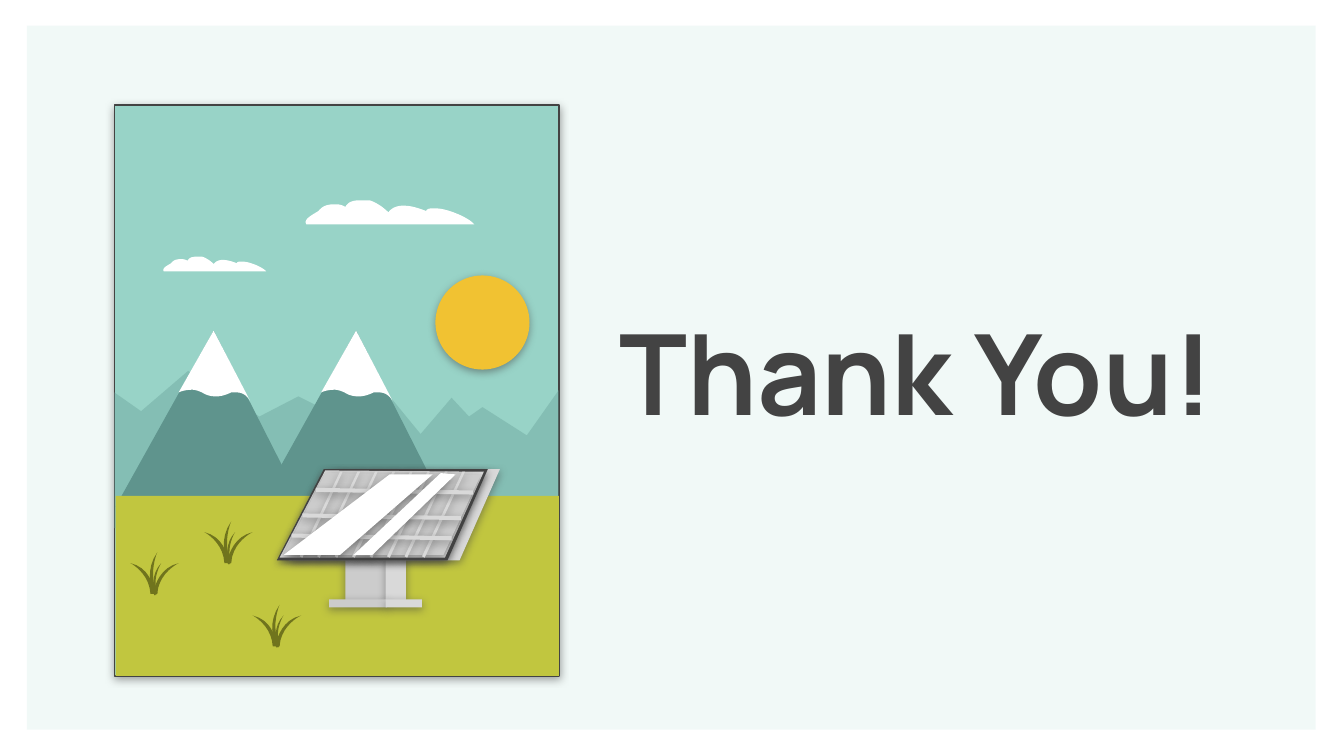
from lxml.etree import SubElement as Sub
from pptx import Presentation
from pptx.dml.color import RGBColor as Rgb
from pptx.enum.shapes import MSO_SHAPE as Kind
from pptx.enum.text import MSO_ANCHOR as Anchor, PP_ALIGN as Align
from pptx.oxml.ns import qn
from pptx.util import Inches, Pt

TITLE = "Thank You!"
INK = {
    "sky": "98D3C7", "text": "434343", "hills": "669E97", "peak": "5F948D",
    "snow": "FFFFFF", "grass": "C1C63F", "steel": "CCCCCC", "light": "D9D9D9",
    "blade": "70741D", "sun": "F1C232",
}

HILLS = [(1.4, 2.76), (1.05, 3.06), (0.85, 2.92), (0.85, 3.93), (4.16, 3.93),
         (4.16, 2.9), (3.92, 3.24), (3.59, 3.03), (3.49, 3.1), (3.36, 2.96),
         (3.13, 3.23), (2.9, 2.95), (2.59, 3.15), (2.5, 3.09), (2.22, 2.95),
         (1.93, 3.1)]
PEAK = [(0.73, 0), (0, 1.31), (1.45, 1.42)]
SNOW = [(0.73, 0), (0.47, 0.46), (0.47, 0.46, 0.51, 0.44, 0.57, 0.44),
        (0.59, 0.44, 0.63, 0.45, 0.66, 0.47), (0.68, 0.48, 0.71, 0.49, 0.75, 0.49),
        (0.78, 0.49, 0.82, 0.48, 0.86, 0.46), (0.87, 0.46, 0.89, 0.46, 0.9, 0.46),
        (0.93, 0.46, 0.97, 0.47, 1, 0.52)]
PEAKS = [(0.86, 2.46), (1.92, 2.46)]
CLOUD = [(0.43, 0), (0.38, 0, 0.34, 0.01, 0.32, 0.05),
         (0.29, 0.03, 0.26, 0.03, 0.24, 0.03), (0.19, 0.03, 0.15, 0.04, 0.12, 0.08),
         (0.09, 0.1, 0, 0.14, 0.03, 0.18), (1.28, 0.18),
         (1.24, 0.13, 1.08, 0.06, 0.99, 0.06), (0.95, 0.06, 0.93, 0.06, 0.92, 0.08),
         (0.87, 0.06, 0.81, 0.04, 0.75, 0.04), (0.7, 0.04, 0.66, 0.06, 0.64, 0.09),
         (0.61, 0.06, 0.56, 0.02, 0.5, 0), (0.48, 0, 0.45, 0, 0.43, 0)]
CLOUDS = [(2.25, 1.49, 1), (1.2, 1.91, 0.61)]
STAND = [(2.57, 3.83, 0.33, 0.64, "steel"), (2.87, 3.83, 0.15, 0.64, "light"),
         (2.45, 4.46, 0.43, 0.06, "steel"), (2.87, 4.46, 0.27, 0.06, "light")]
PANEL = [("light", [(2.5, 3.49), (2.15, 4.17), (3.42, 4.17), (3.72, 3.49)]),
         ("text", [(2.41, 3.49), (2.06, 4.17), (3.33, 4.17), (3.63, 3.49)]),
         ("light", [(2.42, 3.5), (2.08, 4.15), (3.31, 4.15), (3.6, 3.51)]),
         ("steel", [(2.42, 3.52), (2.11, 4.13), (3.3, 4.13), (3.58, 3.53)])]
SLAT = [(0.3, 0), (0, 0.63), (0.02, 0.64), (0.32, 0)]
RAILS = [(2.35, 3.63, 1.17), (2.25, 3.82, 1.18), (2.17, 3.97, 1.19)]
GLARE = [[(2.9, 3.53), (2.11, 4.13), (2.53, 4.13), (3.22, 3.53)],
         [(3.28, 3.52), (2.63, 4.13), (2.77, 4.13), (3.39, 3.53)]]
BLADES = [
    [(0, 0.08), (0, 0.08, 0.14, 0.15, 0.15, 0.31), (0.18, 0.31),
     (0.18, 0.31, 0.17, 0.12, 0, 0.08)],
    [(0.36, 0.08), (0.19, 0.12, 0.17, 0.31, 0.17, 0.31), (0.2, 0.31),
     (0.21, 0.15, 0.36, 0.08, 0.36, 0.08)],
    [(0.23, 0.08), (0.13, 0.19, 0.19, 0.32, 0.19, 0.32), (0.2, 0.3),
     (0.16, 0.19, 0.23, 0.08, 0.23, 0.08)],
    [(0.2, 0), (0.09, 0.16, 0.18, 0.32, 0.18, 0.32), (0.2, 0.3),
     (0.13, 0.16, 0.2, 0, 0.2, 0)],
]
TUFTS = [(1.52, 3.88), (1.88, 4.5), (0.97, 4.11)]

deck = Presentation()
deck.slide_width, deck.slide_height = Inches(10), Inches(10 * 9 / 16)
slide = deck.slides.add_slide(deck.slide_layouts[6])


def paint(shape, ink, alpha=None, shade=False, edge=None):
    shape.shadow.inherit = False
    shape.fill.solid()
    shape.fill.fore_color.rgb = Rgb.from_string(INK[ink])
    if edge:
        shape.line.color.rgb = Rgb.from_string(INK[edge])
        shape.line.width = Pt(0.75)
    else:
        shape.line.fill.background()
    props = shape._element.spPr
    if alpha:
        tint = props.find(qn("a:solidFill"))[0]
        Sub(tint, qn("a:alpha"), val=str(alpha * 1000))
    if shade:
        cast = Sub(props.find(qn("a:effectLst")), qn("a:outerShdw"),
                   blurRad=str(Pt(4.5)), dist=str(Pt(1.5)), dir="5400000",
                   algn="bl", rotWithShape="0")
        tint = Sub(cast, qn("a:srgbClr"), val=INK["text"])
        Sub(tint, qn("a:alpha"), val="50000")


def block(home, box, ink, kind=Kind.RECTANGLE, **look):
    paint(home.add_shape(kind, *map(Inches, box)), ink, **look)


def trace(marks, steps=10):
    dots = [marks[0]]
    for mark in marks[1:]:
        if len(mark) == 2:
            dots.append(mark)
            continue
        ends = [dots[-1], mark[:2], mark[2:4], mark[4:]]
        for step in range(1, steps + 1):
            t = step / steps
            parts = ((1 - t) ** 3, 3 * t * (1 - t) ** 2, 3 * t * t * (1 - t), t ** 3)
            dots.append(tuple(sum(p * e[k] for p, e in zip(parts, ends)) for k in (0, 1)))
    return dots


def draw(home, marks, ink, x=0, y=0, scale=1, **look):
    dots = [(Inches(x + a * scale), Inches(y + b * scale)) for a, b in trace(marks)]
    pen = home.build_freeform(*dots[0], scale=1.0)
    pen.add_line_segments(dots[1:], close=True)
    paint(pen.convert_to_shape(), ink, **look)


def write(text, box, size=18, ink="text", font="Manrope", bold=False):
    frame = slide.shapes.add_textbox(*map(Inches, box)).text_frame
    frame.word_wrap = True
    frame.vertical_anchor = Anchor.MIDDLE
    frame.margin_left = frame.margin_right = Inches(0.1)
    frame.margin_top = frame.margin_bottom = Inches(0.1)
    para = frame.paragraphs[0]
    para.alignment = Align.LEFT
    run = para.add_run()
    run.text = text
    run.font.size, run.font.name, run.font.bold = Pt(size), font, bold
    run.font.color.rgb = Rgb.from_string(INK[ink])


block(slide.shapes, (0.2, 0.19, 9.59, 5.24), "sky", alpha=13)
write(TITLE, (4.51, 2.01, 5.08, 1.49), size=60, bold=True)

scene = slide.shapes.add_group_shape().shapes
block(scene, (0.85, 0.78, 3.31, 4.25), "sky", shade=True, edge="text")
draw(scene, HILLS, "hills", alpha=38)
for x, y in PEAKS:
    draw(scene, PEAK, "peak", x, y)
    draw(scene, SNOW, "snow", x, y)
block(scene, (0.86, 3.69, 3.3, 1.34), "grass")
for x, y, scale in CLOUDS:
    draw(scene, CLOUD, "snow", x, y, scale)

for *box, ink in STAND:
    block(scene, box, ink, shade=True)
for ink, marks in PANEL:
    draw(scene, marks, ink, shade=True)
for i in range(8):
    draw(scene, SLAT, "light", 2.23 + 0.13 * i, 3.51, shade=True)
for x, y, wide in RAILS:
    rail = [(0, 0), (0, 0.03), (wide, 0.05), (wide, 0.02)]
    draw(scene, rail, "light", x, y, shade=True)
for marks in GLARE:
    draw(scene, marks, "snow", shade=True)

for x, y in TUFTS:
    for blade in BLADES:
        draw(scene, blade, "blade", x, y)
block(scene, (3.24, 2.05, 0.7, 0.7), "sun", kind=Kind.OVAL, shade=True)

deck.save("out.pptx")
